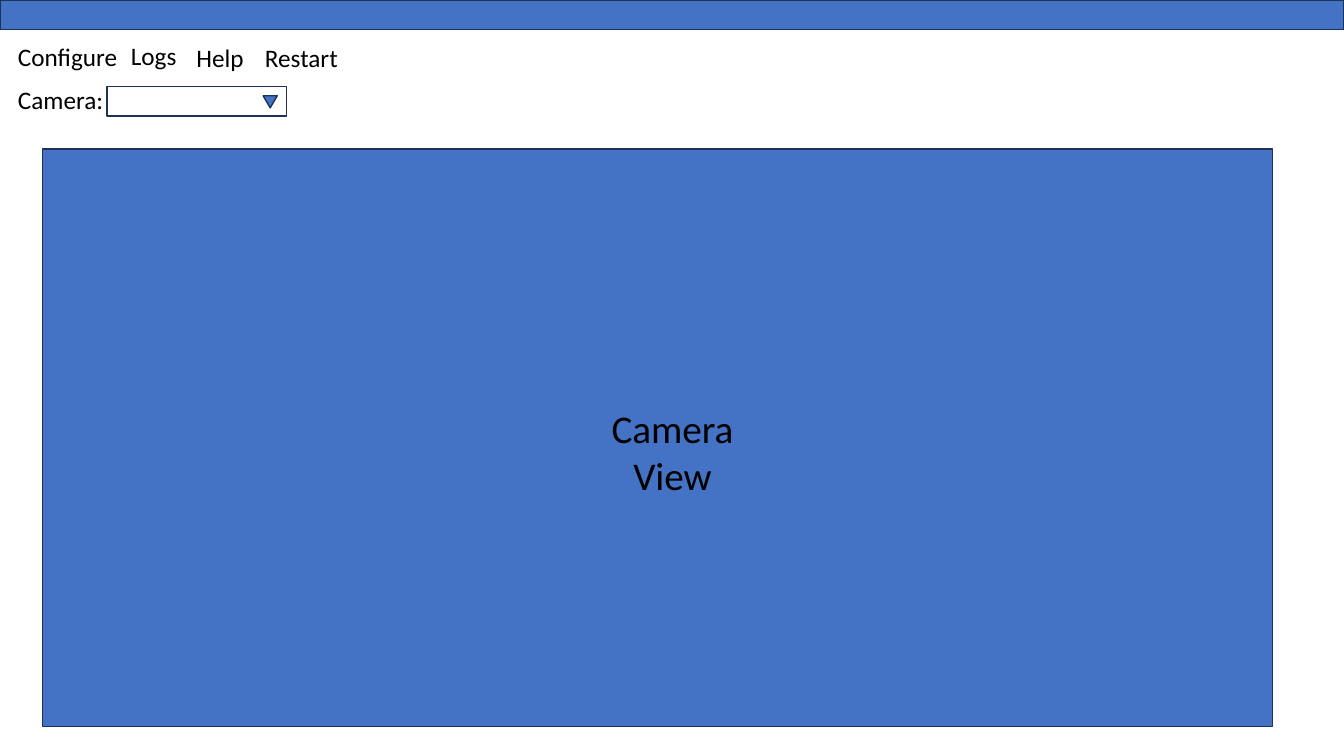
from pptx import Presentation
from pptx.dml.color import RGBColor
from pptx.enum import shapes, text
from pptx.util import Inches, Pt

COLORS = {"blue": "4472C4", "outline": "1E3256", "text": "000000"}
RECTANGLE = shapes.MSO_SHAPE.RECTANGLE
TRIANGLE = shapes.MSO_SHAPE.ISOSCELES_TRIANGLE

deck = Presentation()
deck.slide_width, deck.slide_height = Inches(13.33), Inches(7.5)
page = deck.slides.add_slide(deck.slide_layouts[6])


def add_panel(kind, left, top, width, height, fill="blue"):
    """Add an outlined shape; a fill of None leaves it open."""
    panel = page.shapes.add_shape(
        kind, Inches(left), Inches(top), Inches(width), Inches(height))
    panel.shadow.inherit = False
    if fill:
        panel.fill.solid()
        panel.fill.fore_color.rgb = RGBColor.from_string(COLORS[fill])
    else:
        panel.fill.background()
    panel.line.color.rgb = RGBColor.from_string(COLORS["outline"])
    panel.line.width = Pt(1)
    return panel


def add_label(words, left, top, width, height=0.4, size=18, align=text.PP_ALIGN.LEFT):
    box = page.shapes.add_textbox(
        Inches(left), Inches(top), Inches(width), Inches(height))
    frame = box.text_frame
    frame.word_wrap = True
    frame.auto_size = text.MSO_AUTO_SIZE.SHAPE_TO_FIT_TEXT
    para = frame.paragraphs[0]
    para.text = words
    para.alignment = align
    para.font.name = "Calibri"
    para.font.size = Pt(size)
    para.font.color.rgb = RGBColor.from_string(COLORS["text"])


# Camera view
add_panel(RECTANGLE, 0.42, 1.48, 12.2, 5.73)
add_label("Camera View", 5.78, 3.96, 1.78, 1.04, 28, text.PP_ALIGN.CENTER)

# Title bar
add_panel(RECTANGLE, 0, 0, 13.33, 0.29)

# Camera selector
add_label("Camera:", 0.08, 0.79, 1.78)
add_panel(RECTANGLE, 1.06, 0.86, 1.78, 0.29, fill=None)
dropdown_arrow = add_panel(TRIANGLE, 2.61, 0.95, 0.14, 0.12)
dropdown_arrow.rotation = 180

# Menu
for item, left, top, width in [
    ("Configure", 0.08, 0.36, 1.27),
    ("Logs", 1.2, 0.35, 0.74),
    ("Help", 1.85, 0.37, 0.74),
    ("Restart", 2.53, 0.37, 0.96),
]:
    add_label(item, left, top, width)

deck.save("out.pptx")
